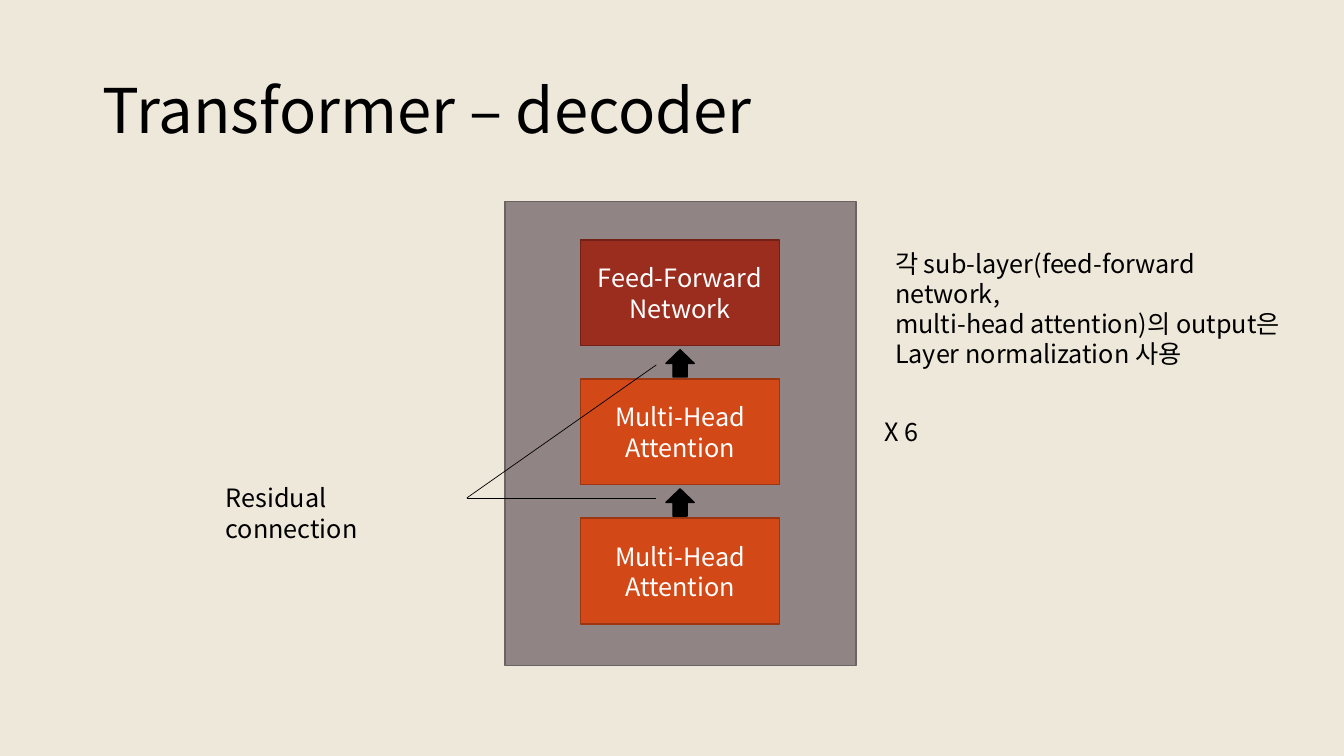
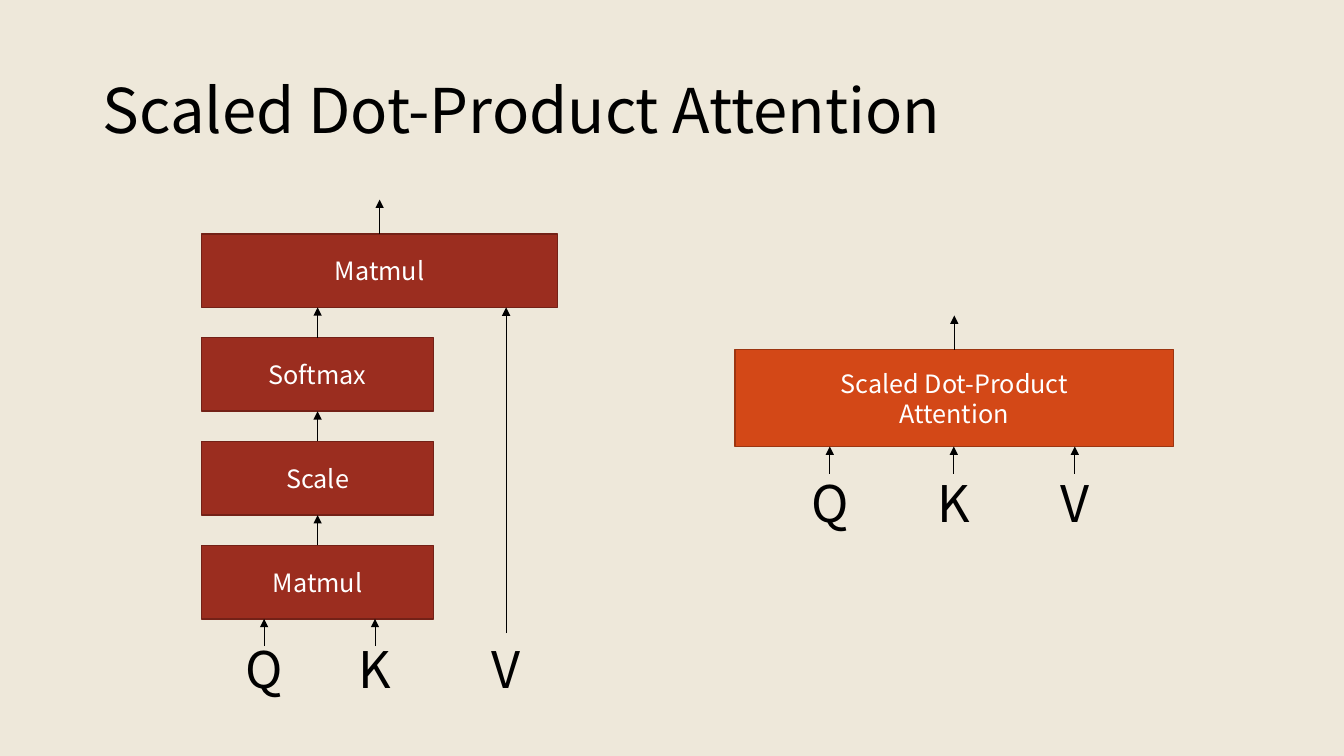
from lxml import etree
from pptx import Presentation
from pptx.dml.color import RGBColor
from pptx.enum import shapes, text
from pptx.oxml import ns
from pptx.util import Inches, Pt

FONT = "Noto Sans CJK KR"
COLOURS = {
    "paper": "EEE8DA", "ink": "000000", "white": "FFFFFF",
    "panel": "918485", "panel edge": "6B6262",
    "orange": "D34817", "orange edge": "9C3511",
    "red": "9B2D1F", "red edge": "732117",
}

DECODER_TITLE = "Transformer – decoder"
DECODER_LAYERS = [
    (["Feed-Forward", "Network"], "red"),
    (["Multi-Head", "Attention"], "orange"),
    (["Multi-Head", "Attention"], "orange"),
]
DECODER_NOTES = [
    (["Residual connection"], (2.14, 4.74, 2.49, 0.4)),
    (["X 6"], (8.67, 4.08, 0.67, 0.4)),
    (["각 sub-layer(feed-forward network,",
      "multi-head attention)의 output은 ",
      "Layer normalization 사용"], (8.78, 2.41, 4.24, 1.01)),
]
RESIDUAL_START = (4.63, 4.94)
RESIDUAL_ENDS = [(6.51, 4.94), (6.51, 3.62)]

ATTENTION_TITLE = "Scaled Dot-Product Attention"
ATTENTION_STEPS = [("Matmul", 3.53), ("Softmax", 2.3), ("Scale", 2.3), ("Matmul", 2.3)]
STEP_INPUTS = [("Q", 2.62), ("K", 3.72), ("V", 5.02)]
SUMMARY_LINES = ["Scaled Dot-Product", "Attention"]
SUMMARY_INPUTS = [("Q", 8.23), ("K", 9.46), ("V", 10.66)]


def rgb(name):
    """Return the named colour."""
    return RGBColor.from_string(COLOURS[name])


def write(box, lines, size=18, colour="ink", align=text.PP_ALIGN.LEFT,
          anchor=text.MSO_ANCHOR.TOP, wrap=True, spacing=None):
    """Fill a box with one paragraph per line, in one format."""
    frame = box.text_frame
    frame.word_wrap = wrap
    frame.vertical_anchor = anchor
    for index, line in enumerate(lines):
        para = frame.add_paragraph() if index else frame.paragraphs[0]
        para.alignment = align
        if spacing:
            para.line_spacing = spacing
        span = para.add_run()
        span.text = line
        span.font.size = Pt(size)
        span.font.name = FONT
        span.font.color.rgb = rgb(colour)
        east_asian = etree.SubElement(span.font._element, ns.qn("a:ea"))
        east_asian.set("typeface", FONT)


def add_text(parent, lines, place, **style):
    """Add a text box at left, top, width, height."""
    box = parent.shapes.add_textbox(*map(Inches, place))
    write(box, lines, **style)


def add_block(parent, place, fill, edge, lines=(), kind=shapes.MSO_SHAPE.RECTANGLE):
    """Add a filled, outlined shape with centred white text."""
    block = parent.shapes.add_shape(kind, *map(Inches, place))
    block.shadow.inherit = False
    block.fill.solid()
    block.fill.fore_color.rgb = rgb(fill)
    block.line.color.rgb = rgb(edge)
    block.line.width = Pt(1)
    write(block, lines, colour="white", align=text.PP_ALIGN.CENTER,
          anchor=text.MSO_ANCHOR.MIDDLE)


def add_line(parent, start, end, arrow=False):
    """Add a thin straight line, with an arrowhead at its end if asked."""
    line = parent.shapes.add_connector(
        shapes.MSO_CONNECTOR.STRAIGHT, *map(Inches, (*start, *end)))
    line.line.color.rgb = rgb("ink")
    line.line.width = Pt(0.5)
    if arrow:
        outline = line.line._get_or_add_ln()
        etree.SubElement(outline, ns.qn("a:tailEnd")).set("type", "triangle")
    etree.SubElement(line._element.spPr, ns.qn("a:effectLst"))


def add_arrow_up(parent, x, bottom, top):
    """Add a thin vertical arrow that points up."""
    add_line(parent, (x, bottom), (x, top), arrow=True)


def add_letter(parent, letter, x, top):
    """Add a large input letter centred on x."""
    add_text(parent, [letter], (x - 0.3, top, 0.6, 0.71), size=36,
             align=text.PP_ALIGN.CENTER, wrap=False)


def add_page(deck, title):
    """Add a blank page with the shared title style."""
    page = deck.slides.add_slide(deck.slide_layouts[6])
    add_text(page, [title], (0.92, 0.4, 11.5, 1.45), size=44,
             anchor=text.MSO_ANCHOR.MIDDLE, spacing=0.9)
    return page


def build_decoder(deck):
    """Draw the decoder stack with its notes."""
    page = add_page(deck, DECODER_TITLE)
    left, width, height, first_top, pitch = 5.76, 1.97, 1.05, 2.38, 1.38
    arrow_width, arrow_height, arrow_rise = 0.28, 0.27, 0.29
    add_block(page, (5.01, 2, 3.48, 4.6), "panel", "panel edge")
    for index, (lines, fill) in enumerate(DECODER_LAYERS):
        top = first_top + index * pitch
        add_block(page, (left, top, width, height), fill, fill + " edge", lines)
        if index:
            arrow_left = left + (width - arrow_width) / 2
            add_block(page, (arrow_left, top - arrow_rise, arrow_width, arrow_height),
                      "ink", "ink", kind=shapes.MSO_SHAPE.UP_ARROW)
    for end in RESIDUAL_ENDS:
        add_line(page, RESIDUAL_START, end)
    for lines, place in DECODER_NOTES:
        add_text(page, lines, place)


def build_steps(page):
    """Draw the attention steps from inputs to output."""
    group = page.shapes.add_group_shape()
    left, height, first_top, pitch = 2, 0.73, 2.32, 1.03
    narrow_centre = left + ATTENTION_STEPS[-1][1] / 2
    for index, (name, width) in enumerate(ATTENTION_STEPS):
        top = first_top + index * pitch
        add_block(group, (left, top, width, height), "red", "red edge", [name])
        if index:
            add_arrow_up(group, narrow_centre, top, top - pitch + height)
        else:
            add_arrow_up(group, left + width / 2, top, top - 0.34)
    wide_bottom = first_top + height
    stack_bottom = wide_bottom + (len(ATTENTION_STEPS) - 1) * pitch
    for letter, x in STEP_INPUTS:
        add_letter(group, letter, x, 6.28)
        if letter == "V":
            add_arrow_up(group, x, 6.28, wide_bottom)
        else:
            add_arrow_up(group, x, stack_bottom + 0.27, stack_bottom)


def build_summary(page):
    """Draw the whole attention as one block."""
    group = page.shapes.add_group_shape()
    left, top, width, height = 7.29, 3.47, 4.35, 0.96
    bottom = top + height
    add_block(group, (left, top, width, height), "orange", "orange edge", SUMMARY_LINES)
    add_arrow_up(group, left + width / 2, top, top - 0.34)
    for letter, x in SUMMARY_INPUTS:
        add_letter(group, letter, x, 4.63)
        add_arrow_up(group, x, bottom + 0.27, bottom)


def main():
    """Build and save the deck."""
    deck = Presentation()
    deck.slide_width, deck.slide_height = Inches(13.33), Inches(7.5)
    backdrop = deck.slide_master.background.fill
    backdrop.solid()
    backdrop.fore_color.rgb = rgb("paper")
    build_decoder(deck)
    page = add_page(deck, ATTENTION_TITLE)
    build_steps(page)
    build_summary(page)
    deck.save("out.pptx")


main()
